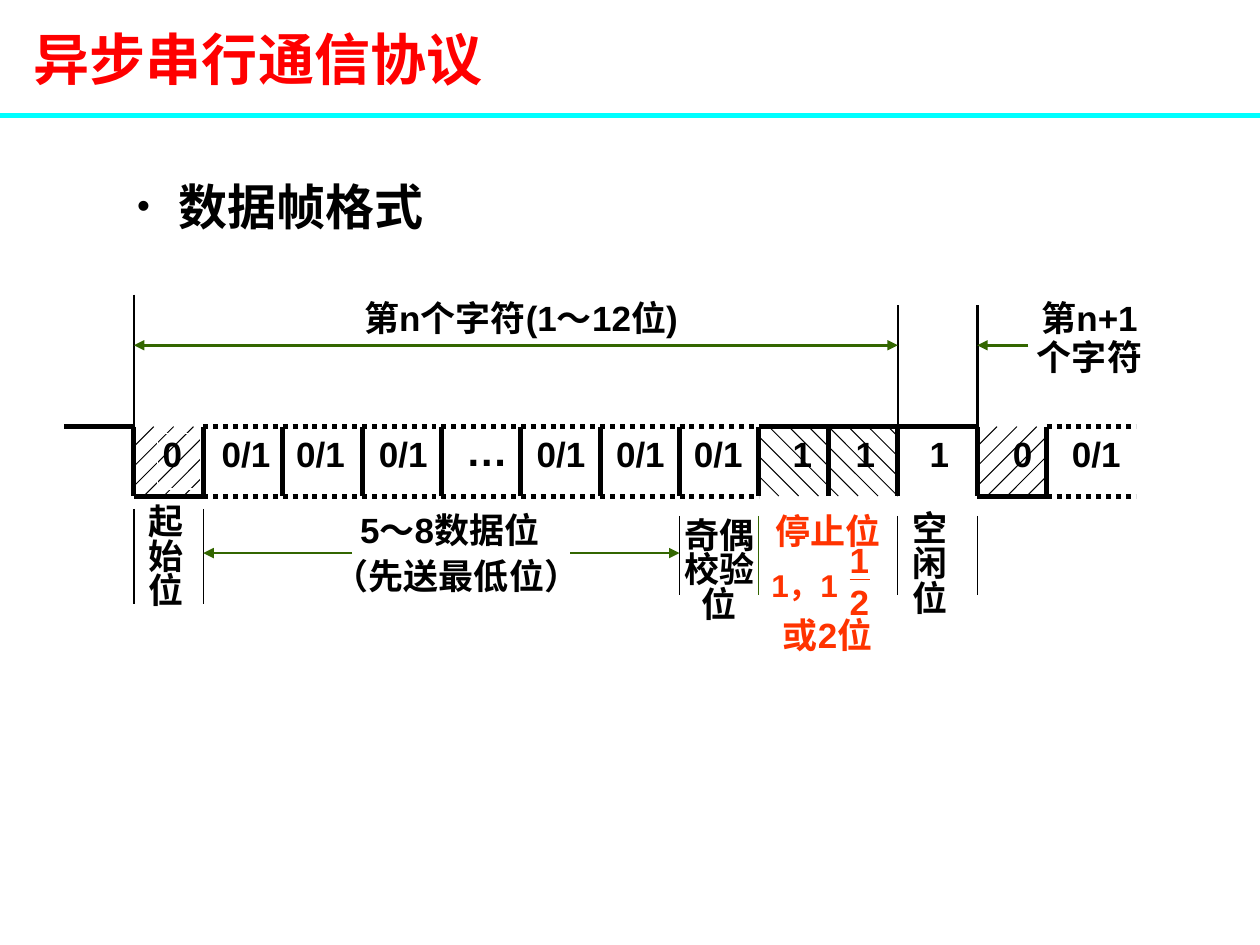
import itertools

import pptx
import pptx.dml.color
import pptx.enum.dml
import pptx.enum.lang
import pptx.enum.shapes
import pptx.enum.text
import pptx.oxml
import pptx.oxml.ns
import pptx.util

Cm = pptx.util.Cm
Pt = pptx.util.Pt
RGB = pptx.dml.color.RGBColor
Align = pptx.enum.text.PP_ALIGN
Dash = pptx.enum.dml.MSO_LINE

BLACK = RGB(0, 0, 0)
WHITE = RGB(0xFF, 0xFF, 0xFF)
RED = RGB(0xFF, 0, 0)
ORANGE = RGB(0xFF, 0x33, 0)
GREEN = RGB(0x33, 0x66, 0)
CYAN = RGB(0, 0xFF, 0xFF)
HAN = "Noto Sans CJK SC"

TIGHT = {"margin_left": Cm(0.1), "margin_top": Cm(0.05),
         "margin_right": Cm(0.1), "margin_bottom": Cm(0.1)}
MIDDLE = {"vertical_anchor": pptx.enum.text.MSO_ANCHOR.MIDDLE,
          "auto_size": pptx.enum.text.MSO_AUTO_SIZE.NONE, "word_wrap": True}

# Bit cells of the frame: text, width, left shift of the text (cm)
BITS = [("0", 1.4, 0.48), ("0/1", 1.6, 0.27), ("0/1", 1.6, 0.17),
        ("0/1", 1.6, 0.24), ("…", 1.6, 0.24), ("0/1", 1.6, 0.22),
        ("0/1", 1.6, 0.22), ("0/1", 1.6, 0.19), ("1", 1.4, 0.58),
        ("1", 1.4, 0.45), ("1", 1.6, 0.54), ("0", 1.4, 0.62),
        ("0/1", 1.8, 0.41)]
EDGES = [0, *itertools.accumulate(width for _, width, _ in BITS)]
START, DATA, PARITY, STOP, IDLE, NEXT, AFTER, END = (
    EDGES[i] for i in (0, 1, 7, 8, 10, 11, 12, 13))
HIGH = 1.4


def put(obj, form):
    for name, value in form.items():
        setattr(obj, name, value)


def add_tag(parent, tag, **attrs):
    node = pptx.oxml.parse_xml(
        f"<a:{tag} {pptx.oxml.ns.nsdecls('a')}/>")
    for name, value in attrs.items():
        node.set(name, value)
    parent.append(node)


def style(para, size, color, font="Arial"):
    """Give every run of the paragraph its Latin and Chinese face."""
    for run in para.runs:
        put(run.font, {"size": Pt(size), "bold": True, "name": font,
                       "language_id":
                       pptx.enum.lang.MSO_LANGUAGE_ID.SIMPLIFIED_CHINESE})
        run.font.color.rgb = color
        add_tag(run.font._element, "ea", typeface=HAN)


def add_line(shapes, box, ends, color=BLACK, width=2.83, dash=None,
             head=False, tail=False):
    left, top = box
    x1, y1, x2, y2 = ends
    line = shapes.add_connector(
        pptx.enum.shapes.MSO_CONNECTOR.STRAIGHT,
        Cm(left + x1), Cm(top + y1), Cm(left + x2), Cm(top + y2))
    line.line.color.rgb = color
    put(line.line, {"width": Pt(width), "dash_style": dash})
    add_tag(line._element.spPr, "effectLst")
    for tag, used in (("headEnd", head), ("tailEnd", tail)):
        if used:
            add_tag(line.line._get_or_add_ln(), tag, type="triangle")


def add_text(shapes, box, area, lines, size=20, color=BLACK, pitch=22.1,
             align=Align.LEFT, form=TIGHT):
    left, top = box
    x, y, width, height = area
    label = shapes.add_textbox(Cm(left + x), Cm(top + y),
                               Cm(width), Cm(height))
    frame = label.text_frame
    put(frame, {"word_wrap": True, "text": "\n".join(lines), **form})
    for para in frame.paragraphs:
        put(para, {"alignment": align,
                   "line_spacing": Pt(pitch) if pitch else None})
        style(para, size, color)
    return label


def add_head(slide, box):
    left, top, width, height = box
    title = slide.shapes.title
    put(title, {"left": Cm(left), "top": Cm(top),
                "width": Cm(width), "height": Cm(height)})
    put(title.text_frame, {"text": "异步串行通信协议", **MIDDLE})
    para = title.text_frame.paragraphs[0]
    para.alignment = Align.LEFT
    style(para, 32, RED, HAN)
    add_line(slide.shapes, (0, top + height), (0, 0, 25.4, 0), CYAN, 3)


def add_list(slide, box):
    left, top, width, height = box
    body = slide.placeholders[1]
    put(body, {"left": Cm(left), "top": Cm(top),
               "width": Cm(width), "height": Cm(height)})
    put(body.text_frame, {"text": "数据帧格式", **MIDDLE})
    para = body.text_frame.paragraphs[0]
    para.space_before = Pt(0)
    props = para._p.get_or_add_pPr()
    props.set("marL", str(Cm(0.84)))
    props.set("indent", str(-Cm(0.84)))
    add_tag(props, "buSzPct", val="75000")
    add_tag(props, "buChar", char="•")
    style(para, 28, BLACK, HAN)


def add_hatch(shapes, box, left, width, rising):
    """Hatch a cell with 45 degree lines, 0.4 cm apart."""
    for step in range(int((width + HIGH) / 0.4)):
        shift = 0.4 * step - 1
        x1, x2 = max(0, shift), min(width, shift + HIGH)
        if x2 <= x1:
            continue
        y1, y2 = x1 - shift, x2 - shift
        if rising:
            y1, y2 = HIGH - y1, HIGH - y2
        add_line(shapes, box, (left + x1, y1, left + x2, y2), width=0.57)


def add_wave(shapes, box):
    """Draw the signal: levels, cell borders, hatching and bit values."""
    for x1, x2, y, dash in (
            (-1.4, START, 0, None), (START, DATA, HIGH, None),
            (DATA, STOP, 0, Dash.ROUND_DOT),
            (DATA, STOP, HIGH, Dash.ROUND_DOT),
            (STOP, NEXT, 0, None), (NEXT, AFTER, HIGH, None),
            (AFTER, END, 0, Dash.ROUND_DOT),
            (AFTER, END, HIGH, Dash.ROUND_DOT)):
        add_line(shapes, box, (x1, y, x2, y), dash=dash)
    for x in EDGES[:-1]:
        add_line(shapes, box, (x, 0, x, HIGH))
    add_hatch(shapes, box, START, 1.4, True)
    add_hatch(shapes, box, NEXT, 1.4, True)
    add_hatch(shapes, box, STOP, 2.8, False)
    for x, (text, _, shift) in zip(EDGES, BITS):
        if text == "…":
            add_text(shapes, box, (x + shift, -0.17, 1.35, 1.27), [text],
                     size=24, pitch=None, form={})
            continue
        width = 0.86 if len(text) == 1 else 1.58
        label = add_text(shapes, box, (x + shift, 0.14, width, 1.12), [text])
        if x == START:
            label.line.color.rgb = WHITE
            label.line.width = Pt(0.75)


def add_spans(shapes, box):
    """Draw the guide lines and the arrows between them."""
    for x, y1, y2, color, width in (
            (START, -2.66, 0, BLACK, 1.5), (IDLE, -2.45, 0, BLACK, 1.5),
            (NEXT, -2.45, 0, BLACK, 1.5), (START, 1.66, 3.57, BLACK, 0.75),
            (DATA, 1.66, 3.57, BLACK, 0.75), (PARITY, 1.8, 3.4, BLACK, 0.57),
            (STOP, 1.8, 3.4, GREEN, 0.57), (IDLE, 1.8, 3.4, BLACK, 0.57),
            (NEXT, 1.8, 3.4, BLACK, 0.57)):
        add_line(shapes, box, (x, y1, x, y2), color, width)
    for x1, x2, y, width, head in (
            (START, IDLE, -1.64, 1.5, True), (18.03, NEXT, -1.64, 1.5, False),
            (8.8, PARITY, 2.55, 0.75, False), (4.4, DATA, 2.55, 0.75, False)):
        add_line(shapes, box, (x1, y, x2, y), GREEN, width,
                 head=head, tail=True)


def add_names(shapes, box):
    add_text(shapes, box, (4.54, -2.6, 8.69, 1.12), ["第n个字符(1～12位)"])
    add_text(shapes, box, (17.92, -2.6, 2.69, 1.73), ["第n+1", "个字符"],
             align=Align.CENTER)
    add_text(shapes, box, (4.46, 1.66, 4.78, 1.17), ["5～8数据位"])
    add_text(shapes, box, (3.93, 2.6, 5.49, 1.17), ["（先送最低位）"])
    add_text(shapes, box, (0.2, 1.56, 1.14, 2.64), "起始位", pitch=19.9)
    add_text(shapes, box, (15.59, 1.71, 1.14, 2.64), "空闲位", pitch=19.9)
    add_text(shapes, box, (10.91, 1.84, 1.78, 2.64), ["奇偶", "校验", "位"],
             pitch=19.9, align=Align.CENTER)


def add_stop(shapes, box):
    """Label the stop bits, with a stacked one half."""
    label = add_text(shapes, box, (0, 0, 2.77, 2.54), ["停止位", "或2位"],
                     color=ORANGE, pitch=19.9, align=Align.CENTER)
    label.text_frame.paragraphs[1].space_before = Pt(39.8)
    add_text(shapes, box, (1.58, 0.38, 0.89, 1.96), "12", color=ORANGE,
             pitch=None, form={})
    add_line(shapes, box, (1.83, 1.32, 2.24, 1.32), ORANGE, 0.75)
    add_text(shapes, box, (0, 0.92, 2.16, 1.02), ["1，1"], size=18,
             color=ORANGE, pitch=None, form={})


def add_frame(slide, box):
    left, top = box
    shapes = slide.shapes.add_group_shape().shapes
    add_wave(shapes, box)
    add_spans(shapes, box)
    add_names(shapes, box)
    add_stop(shapes, (left + STOP, top + 1.76))


def main():
    deck = pptx.Presentation()
    put(deck, {"slide_width": Cm(25.4), "slide_height": Cm(19.05)})
    slide = deck.slides.add_slide(deck.slide_layouts[1])
    add_head(slide, (0.43, 0, 24.97, 2.33))
    add_list(slide, (2.51, 3.33, 10.67, 1.63))
    add_frame(slide, (2.7, 8.6))
    deck.save("out.pptx")


if __name__ == "__main__":
    main()
